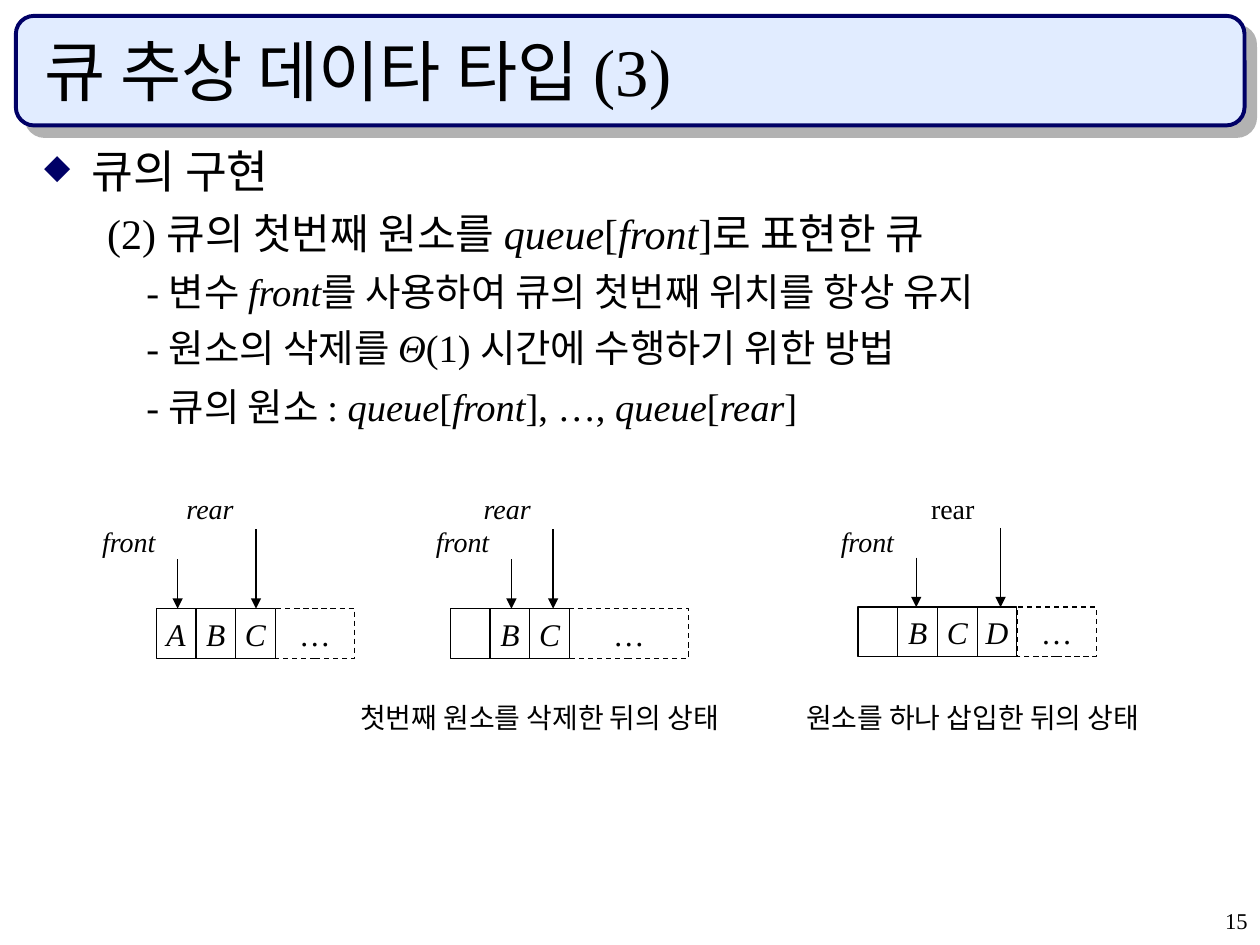
from dataclasses import dataclass

from lxml.etree import SubElement
from pptx import Presentation
from pptx.dml.color import RGBColor
from pptx.enum.dml import MSO_LINE
from pptx.enum.shapes import MSO_CONNECTOR, MSO_SHAPE
from pptx.enum.text import MSO_ANCHOR, PP_ALIGN
from pptx.oxml.ns import qn
from pptx.util import Cm, Pt

FONT = "Times New Roman"
BLACK, NAVY, PALE, GREY = "000000", "000066", "E1ECFF", "B2B2B2"
CELL_W, CELL_H = 0.8, 1.0
INSET_X, INSET_Y = 0.25, 0.13


@dataclass
class Line:
    """One body paragraph; asterisks enclose italic words."""
    text: str
    size: int
    left: float
    hang: float
    before: float = 0
    bullet: str = ""


@dataclass
class Queue:
    left: float
    top: float
    cells: str
    rest: int
    front_x: float
    rear_x: float
    rear: str = "*rear*"


LINES = [
    Line("큐의 구현", 26, 0.95, -0.95, bullet="◆"),
    Line("(2) 큐의 첫번째 원소를 *queue*[*front*]로 표현한 큐", 24, 2.06, -0.79, 6),
    Line("- 변수 *front*를 사용하여 큐의 첫번째 위치를 항상 유지", 22, 2.06, 0, 5.5),
    Line("- 원소의 삭제를 *Θ*(1) 시간에 수행하기 위한 방법", 22, 2.06, 0, 5.5),
    Line("- 큐의 원소 : *queue*[*front*], …, *queue*[*rear*]", 22, 2.06, 0, 7.5),
]
QUEUES = [
    Queue(3.15, 12.27, "ABC", 2, 3.58, 5.16),
    Queue(9.08, 12.27, " BC", 3, 10.31, 11.15),
    Queue(17.3, 12.24, " BCD", 2, 18.47, 20.17, "rear"),
]
CAPTIONS = [(7.01, 9.78, "첫번째 원소를 삭제한 뒤의 상태"),
            (16.0, 9.25, "원소를 하나 삽입한 뒤의 상태")]


def rgb(code: str) -> RGBColor:
    return RGBColor.from_string(code)


def apply(obj, values: dict) -> None:
    for name, value in values.items():
        setattr(obj, name, value)


def write(p, text: str, size: float) -> None:
    """Add runs, setting the words between asterisks in italics."""
    for i, part in enumerate(text.split("*")):
        if part:
            r = p.add_run()
            r.text = part
            apply(r.font, {"size": Pt(size), "name": FONT, "italic": i % 2 == 1})
            r.font.color.rgb = rgb(BLACK)


def set_frame(tf, anchor=MSO_ANCHOR.TOP, x: float = INSET_X, y: float = INSET_Y) -> None:
    apply(tf, {"word_wrap": True, "vertical_anchor": anchor,
               "margin_left": Cm(x), "margin_right": Cm(x),
               "margin_top": Cm(y), "margin_bottom": Cm(y)})


def add_text(s, x: float, y: float, w: float, h: float, text: str, size: float,
             align=PP_ALIGN.LEFT, anchor=MSO_ANCHOR.TOP):
    tf = s.shapes.add_textbox(Cm(x), Cm(y), Cm(w), Cm(h)).text_frame
    set_frame(tf, anchor)
    p = tf.paragraphs[0]
    p.alignment = align
    write(p, text, size)
    return p


def add_banner(s) -> None:
    sp = s.shapes.add_shape(MSO_SHAPE.ROUNDED_RECTANGLE, Cm(0.32), Cm(0.32), Cm(24.77), Cm(2.21))
    sp.shadow.inherit = False
    sp.fill.solid()
    sp.fill.fore_color.rgb = rgb(PALE)
    sp.line.color.rgb = rgb(NAVY)
    sp.line.width = Pt(2.25)
    effects = sp._element.spPr.find(qn("a:effectLst"))
    shadow = SubElement(effects, qn("a:outerShdw"), dist=str(Pt(8.5)), dir=str(45 * 60000),
                        algn="ctr", rotWithShape="0")
    SubElement(shadow, qn("a:srgbClr"), val=GREY)


def add_bullet(p, char: str) -> None:
    pPr = p._p.get_or_add_pPr()
    SubElement(SubElement(pPr, qn("a:buClr")), qn("a:srgbClr"), val=NAVY)
    SubElement(pPr, qn("a:buSzPct"), val="75000")
    SubElement(pPr, qn("a:buChar"), char=char)


def add_body(s, lines: list[Line]) -> None:
    tf = s.shapes.add_textbox(Cm(0.64), Cm(2.75), Cm(23.93), Cm(6.38)).text_frame
    set_frame(tf)
    for i, line in enumerate(lines):
        p = tf.add_paragraph() if i else tf.paragraphs[0]
        pPr = p._p.get_or_add_pPr()
        pPr.set("marL", str(Cm(line.left)))
        pPr.set("indent", str(Cm(line.hang)))
        if line.bullet:
            add_bullet(p, line.bullet)
        if line.before:
            p.space_before = Pt(line.before)
        write(p, line.text, line.size)


def add_cell(s, x: float, y: float, w: float, text: str, dashed: bool = False) -> None:
    sp = s.shapes.add_shape(MSO_SHAPE.RECTANGLE, Cm(x), Cm(y), Cm(w), Cm(CELL_H))
    sp.shadow.inherit = False
    sp.fill.background()
    sp.line.color.rgb = rgb(BLACK)
    sp.line.width = Pt(0.75)
    if dashed:
        sp.line.dash_style = MSO_LINE.DASH
    set_frame(sp.text_frame, MSO_ANCHOR.MIDDLE, 0, 0)
    p = sp.text_frame.paragraphs[0]
    p.alignment = PP_ALIGN.CENTER
    write(p, text, 18)


def add_pointer(s, x: float, bottom: float, length: float) -> None:
    """Draw an arrow straight down onto a cell."""
    line = s.shapes.add_connector(MSO_CONNECTOR.STRAIGHT, Cm(x), Cm(bottom - length), Cm(x), Cm(bottom))
    line.line.color.rgb = rgb(BLACK)
    line.line.width = Pt(0.75)
    SubElement(line.line._get_or_add_ln(), qn("a:tailEnd"), type="triangle")
    SubElement(line._element.spPr, qn("a:effectLst"))


def add_queue(s, q: Queue) -> None:
    for i, name in enumerate(q.cells):
        add_cell(s, q.left + i * CELL_W, q.top, CELL_W, f"*{name}*" if name.strip() else "")
    add_cell(s, q.left + len(q.cells) * CELL_W, q.top, q.rest * CELL_W, "…", dashed=True)
    add_pointer(s, q.rear_x, q.top, 1.6)
    add_pointer(s, q.front_x, q.top, 1.0)
    add_text(s, q.rear_x - 1.65, 9.78, 3.38, 0.94, q.rear, 16)
    add_text(s, q.front_x - 1.77, 10.44, 3.5, 0.94, "*front*", 16)


def main() -> None:
    prs = Presentation()
    apply(prs, {"slide_width": Cm(25.4), "slide_height": Cm(19.05)})
    s = prs.slides.add_slide(prs.slide_layouts[6])
    add_banner(s)
    add_text(s, 0.64, 0.64, 23.93, 1.7, "큐 추상 데이타 타입 (3)", 38, anchor=MSO_ANCHOR.BOTTOM)
    add_body(s, LINES)
    for q in QUEUES:
        add_queue(s, q)
    for x, w, text in CAPTIONS:
        add_text(s, x, 14.0, w, 0.94, text, 16)
    number = add_text(s, 20.12, 18.21, 5.28, 0.84, "15", 12.9, PP_ALIGN.RIGHT)
    number.line_spacing = 0.9
    prs.save("out.pptx")


if __name__ == "__main__":
    main()
